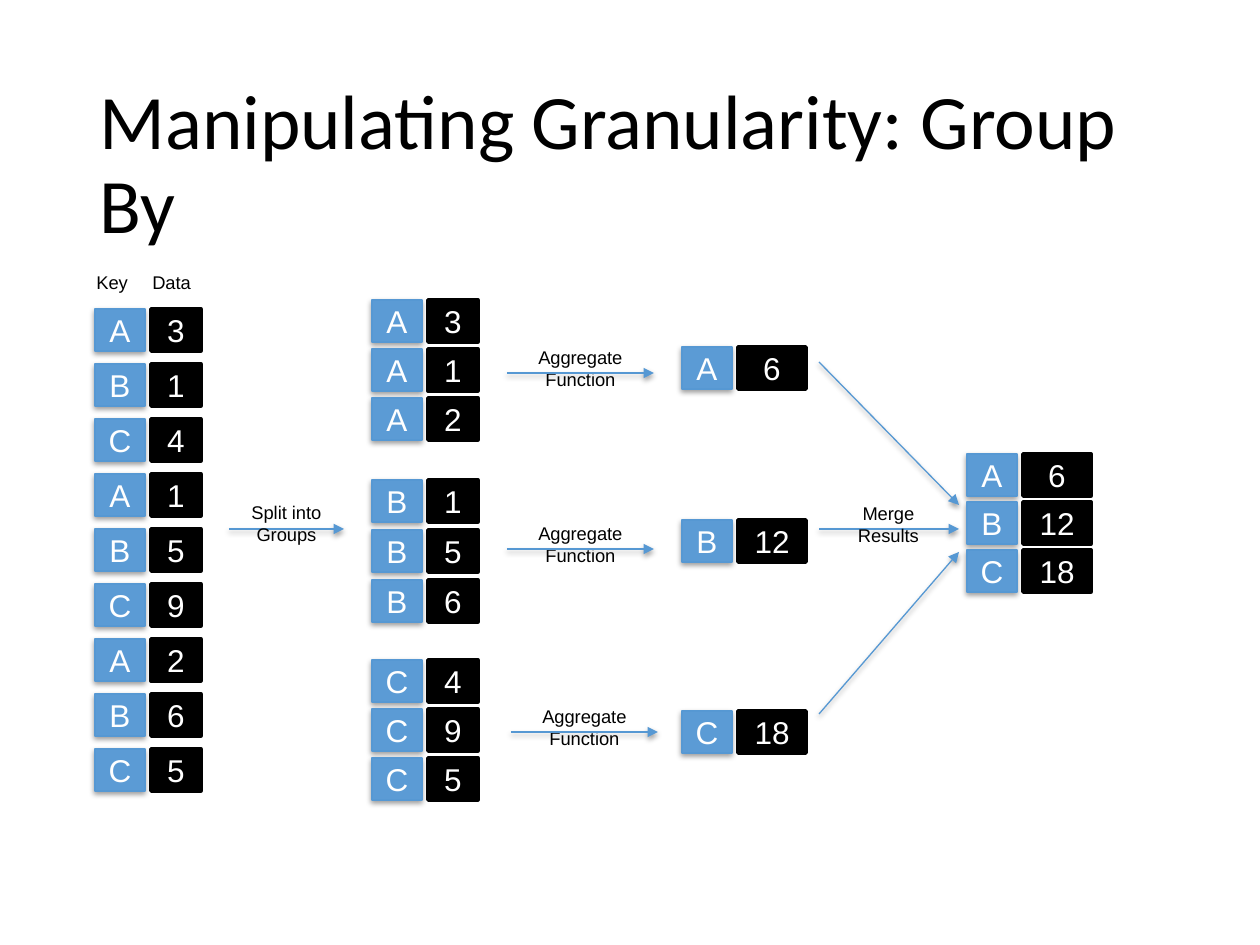
from dataclasses import dataclass

from pptx import Presentation
from pptx.dml.color import RGBColor as RGB
from pptx.enum.shapes import MSO_CONNECTOR as CONN, MSO_SHAPE as SHAPE
from pptx.enum.text import MSO_ANCHOR as ANCHOR, MSO_AUTO_SIZE as AUTO, PP_ALIGN as ALIGN
from pptx.oxml import parse_xml
from pptx.oxml.ns import nsdecls, qn
from pptx.util import Pt

PX = 914400 / 126
CELL_W, CELL_H, DATA_DX, WIDE = 50, 42, 56, 68


@dataclass(frozen=True)
class Theme:
    key: RGB = RGB(0x5B, 0x9B, 0xD5)
    edge: RGB = RGB(0x56, 0x98, 0xD3)
    ink: RGB = RGB(0, 0, 0)
    paper: RGB = RGB(255, 255, 255)
    head_font: str = "Calibri"
    body_font: str = "Arial"
    title: float = 44
    cell: float = 18
    label: float = 10.5


def emu(*px):
    return [round(v * PX) for v in px]


class Board:
    """Draws the elements of the group-by diagram in one theme."""

    def __init__(self, s, theme):
        self.s, self.t = s, theme

    def font(self, p, size, color, name):
        p.font.size, p.font.name = Pt(size), name
        p.font.color.rgb = color

    def shadow(self, sp):
        sp.element.spPr.append(parse_xml(
            f'<a:effectLst {nsdecls("a")}>'
            '<a:outerShdw blurRad="39370" dist="20320" dir="5400000" rotWithShape="0">'
            '<a:srgbClr val="000000"><a:alpha val="38000"/></a:srgbClr>'
            '</a:outerShdw></a:effectLst>'))

    def title(self, text, x, y, w, h):
        tf = self.s.shapes.add_textbox(*emu(x, y, w, h)).text_frame
        tf.word_wrap, tf.vertical_anchor = True, ANCHOR.MIDDLE
        p = tf.paragraphs[0]
        p.text, p.line_spacing = text, 0.9
        self.font(p, self.t.title, self.t.ink, self.t.head_font)

    def label(self, text, x, y, w, h, align=ALIGN.CENTER):
        tf = self.s.shapes.add_textbox(*emu(x, y, w, h)).text_frame
        tf.word_wrap, tf.auto_size = False, AUTO.SHAPE_TO_FIT_TEXT
        tf.text = text
        for p in tf.paragraphs:
            p.alignment = align
            self.font(p, self.t.label, self.t.ink, self.t.body_font)

    def cell(self, group, text, x, y, w, fill, edge, weight):
        sp = group.shapes.add_shape(SHAPE.RECTANGLE, *emu(x, y, w, CELL_H))
        sp.fill.solid()
        sp.fill.fore_color.rgb = fill
        sp.line.color.rgb, sp.line.width = edge, Pt(weight)
        tf = sp.text_frame
        tf.vertical_anchor = ANCHOR.MIDDLE
        p = tf.paragraphs[0]
        p.text, p.alignment = text, ALIGN.CENTER
        self.font(p, self.t.cell, self.t.paper, self.t.body_font)
        return sp

    def record(self, key, value, x, y, w=CELL_W):
        group, t = self.s.shapes.add_group_shape(), self.t
        self.shadow(self.cell(group, key, x, y, CELL_W, t.key, t.edge, 0.75))
        data = self.cell(group, str(value), x + DATA_DX, y, w, t.ink, t.ink, 2)
        data.shadow.inherit = False

    def stack(self, records, x, y, step, w=CELL_W):
        for i, (key, value) in enumerate(records):
            self.record(key, value, x, y + i * step, w)

    def arrow(self, x1, y1, x2, y2):
        cn = self.s.shapes.add_connector(CONN.STRAIGHT, *emu(x1, y1, x2, y2))
        cn.line.color.rgb, cn.line.width = self.t.edge, Pt(0.75)
        cn.element.spPr.find(qn("a:ln")).append(
            parse_xml(f'<a:tailEnd {nsdecls("a")} type="triangle"/>'))
        self.shadow(cn)


def main():
    prs = Presentation()
    prs.slide_width, prs.slide_height = emu(1260, 945)
    board = Board(prs.slides.add_slide(prs.slide_layouts[6]), Theme())

    board.title("Manipulating Granularity: Group By", 87, 50, 1086, 233)
    board.label("Key", 84, 265, 58, 35, ALIGN.LEFT)
    board.label("Data", 140, 265, 64, 35, ALIGN.LEFT)

    records = list(zip("ABCABCABC", (3, 1, 4, 1, 5, 9, 2, 6, 5)))
    groups = {k: [r for r in records if r[0] == k] for k in "ABC"}
    totals = [(k, sum(v for _, v in rows)) for k, rows in groups.items()]

    board.stack(records, 95, 309, 55)
    for i, (rows, step) in enumerate(zip(groups.values(), (49, 50, 49))):
        board.stack(rows, 372, 300 + i * 180, step)

    board.arrow(229, 529, 344, 529)
    board.label("Split into\nGroups", 238, 495, 97, 57)

    for total, dx, line_y, row_y in zip(totals, (0, 0, 4), (373, 549, 732), (347, 520, 711)):
        board.label("Aggregate\nFunction", 525 + dx, line_y - 33, 111, 57)
        board.arrow(507 + dx, line_y, 654 + dx, line_y)
        board.record(*total, 682, row_y, WIDE)

    board.stack(totals, 967, 454, 48, WIDE)
    for start_y, end_y in ((362, 505), (529, 529), (714, 552)):
        board.arrow(819, start_y, 959, end_y)
    board.label("Merge\nResults", 845, 496, 87, 57)

    prs.save("out.pptx")


if __name__ == "__main__":
    main()
